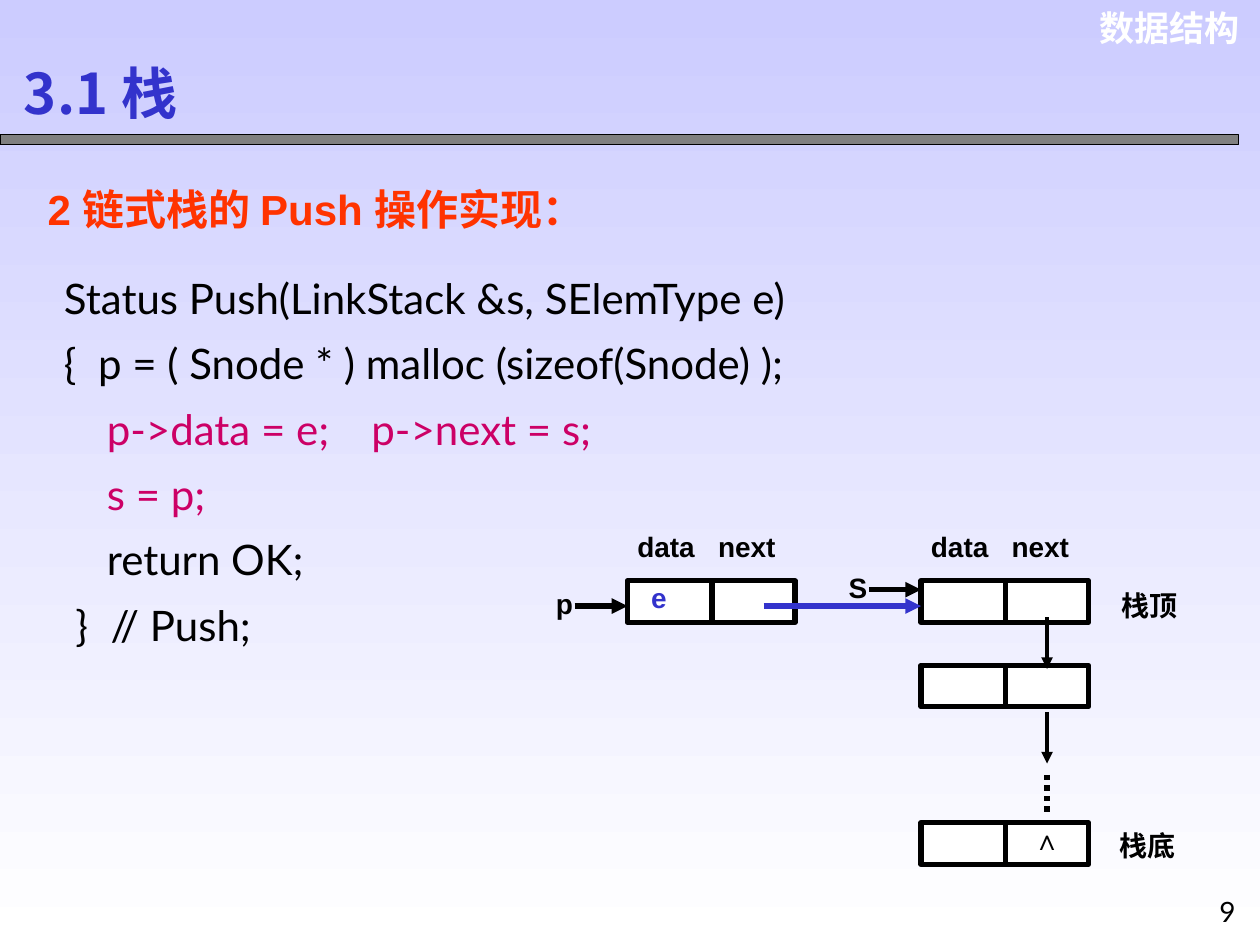
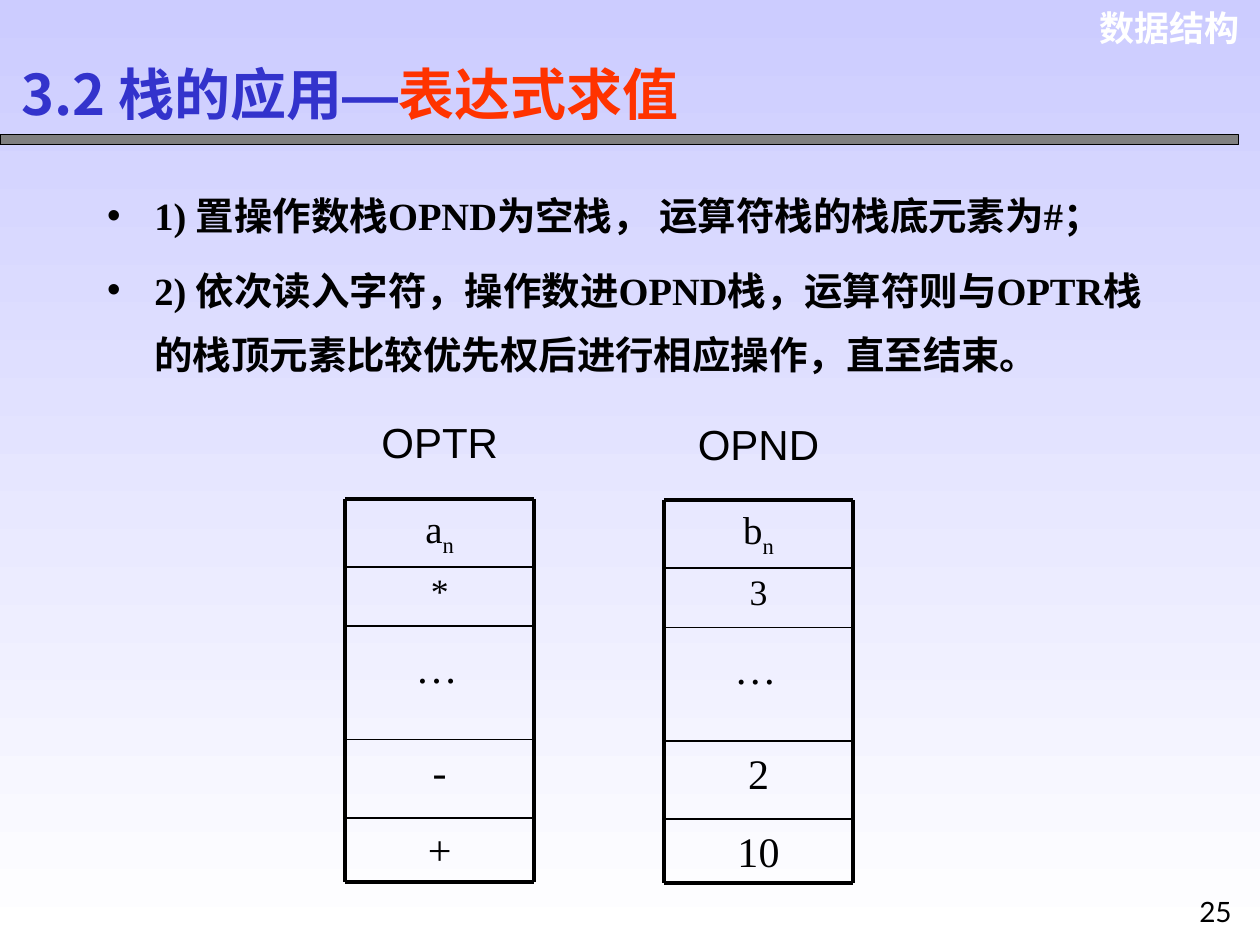
from dataclasses import dataclass

from pptx import Presentation, util as u
from pptx.dml.color import RGBColor
from pptx.enum import dml, shapes, text
from pptx.oxml.ns import qn
from lxml import etree

LEFT, CENTER, RIGHT = text.PP_ALIGN.LEFT, text.PP_ALIGN.CENTER, text.PP_ALIGN.RIGHT


@dataclass(frozen=True)
class Theme:
    black: str = "000000"
    white: str = "FFFFFF"
    blue: str = "3333CC"
    red: str = "FF3300"
    pink: str = "CC0066"
    band: str = "808080"
    sky: str = "CCCCFF"
    sans: str = "Arial"
    serif: str = "Times New Roman"
    code: str = "Lato"
    cjk: str = "Noto Sans CJK SC"
    title: float = 32
    head: float = 24
    body: float = 22
    header: float = 20
    label: float = 16


T = Theme()


class Deck:
    """Holds the style and the current slide."""

    def __init__(self):
        self.prs = Presentation()
        self.prs.slide_width, self.prs.slide_height = u.Inches(10), u.Inches(7.5)
        fill = self.prs.slide_master.background.fill
        fill.gradient()
        fill.gradient_angle = 270
        for stop, color in zip(fill.gradient_stops, (T.sky, T.white)):
            stop.color.rgb = RGBColor.from_string(color)

    def slide(self, layout, number, number_x, title, title_box):
        """Start a slide with the shared header, band, title and page number."""
        self.s = self.prs.slides.add_slide(self.prs.slide_layouts[layout])
        self.on = self.s.shapes
        self.text(8.57, 0, 1.37, 0.44, "数据结构", size=T.header, color=T.white,
                  bold=True, align=RIGHT, before=12.5)
        self.rect(0, 1.07, 9.83, 0.08, T.band, 0.74)
        self.place(self.s.shapes.title, *title_box)
        tf = self.frame(self.s.shapes.title, text.MSO_ANCHOR.MIDDLE)
        tf.paragraphs[0].alignment = LEFT
        for words, font, color in title:
            self.run(tf.paragraphs[0], words, font, T.title, color, True, ea=font)
        self.text(number_x, 7.05, 0.5, 0.42, number, font=T.code, before=10)

    def place(self, sp, x, y, w, h):
        sp.left, sp.top, sp.width, sp.height = map(u.Inches, (x, y, w, h))

    def frame(self, sp, anchor=text.MSO_ANCHOR.TOP):
        tf = sp.text_frame
        tf.word_wrap = True
        tf.auto_size = text.MSO_AUTO_SIZE.NONE
        tf.vertical_anchor = anchor
        return tf

    def run(self, p, words, font, size, color, bold=False, ea=T.cjk):
        r = p.add_run()
        r.text = words
        r.font.name, r.font.size, r.font.bold = font, u.Pt(size), bold
        r.font.color.rgb = RGBColor.from_string(color)
        etree.SubElement(r.font._element, qn("a:ea"), typeface=ea)
        # schema order: the east Asian font follows the latin one
        r.font._element.find(qn("a:latin")).addnext(r.font._element[-1])
        return r

    def text(self, x, y, w, h, words, font=T.sans, size=T.label, color=T.black,
             bold=False, align=LEFT, before=0, spacing=None, tabs=()):
        """Add a one-paragraph text box and return its paragraph."""
        sp = self.on.add_textbox(*map(u.Inches, (x, y, w, h)))
        p = self.frame(sp).paragraphs[0]
        self.paragraph(p, words, font, size, color, bold, align, before, spacing, tabs)
        return p

    def paragraph(self, p, words, font, size, color, bold=False, align=LEFT,
                  before=0, spacing=None, tabs=()):
        p.alignment, p.space_before, p.line_spacing = align, u.Pt(before), spacing
        if tabs:
            stops = etree.SubElement(p._p.get_or_add_pPr(), qn("a:tabLst"))
            for pos in tabs:
                etree.SubElement(stops, qn("a:tab"), pos=str(u.Inches(pos)), algn="l")
        self.run(p, words, font, size, color, bold)

    def label(self, x, y, w, words, **style):
        return self.text(x, y, w, 0.37, words, bold=True, before=10, **style)

    def code(self, x, y, w, h, lines):
        """Add a code listing of (text, colour, tab stops) lines."""
        tf = self.frame(self.on.add_textbox(*map(u.Inches, (x, y, w, h))))
        for i, (words, color, tabs) in enumerate(lines):
            p = tf.add_paragraph() if i else tf.paragraphs[0]
            self.paragraph(p, words, T.code, T.head, color, spacing=1.3, tabs=tabs)

    def bullets(self, x, y, w, h, items):
        body = self.s.placeholders[1]
        self.place(body, x, y, w, h)
        tf = self.frame(body)
        for i, words in enumerate(items):
            p = tf.add_paragraph() if i else tf.paragraphs[0]
            self.paragraph(p, words, T.serif, T.body, T.black, True,
                           before=5.5, spacing=1.4)

    def rect(self, x, y, w, h, fill, weight):
        sp = self.on.add_shape(shapes.MSO_SHAPE.RECTANGLE, *map(u.Inches, (x, y, w, h)))
        sp.shadow.inherit = False
        sp.fill.solid()
        sp.fill.fore_color.rgb = RGBColor.from_string(fill)
        sp.line.color.rgb = RGBColor.from_string(T.black)
        sp.line.width = u.Pt(weight)

    def line(self, x1, y1, x2, y2, weight=3, color=T.black, arrow=False, dash=None):
        c = self.on.add_connector(shapes.MSO_CONNECTOR.STRAIGHT,
                                  *map(u.Inches, (x1, y1, x2, y2)))
        c.line.color.rgb = RGBColor.from_string(color)
        c.line.width = u.Pt(weight)
        if dash:
            c.line.dash_style = dash
        props = c.element.spPr
        if arrow:
            etree.SubElement(props.find(qn("a:ln")), qn("a:tailEnd"), type="triangle")
        etree.SubElement(props, qn("a:effectLst"))

    def node(self, x, y):
        """Draw a list node: a data cell and a next cell."""
        self.rect(x, y, 1.33, 0.33, T.white, 3)
        self.line(x + 0.67, y, x + 0.67, y + 0.33)

    def stack(self, x, y, name, top, second, fourth, bottom):
        """Draw a named stack; the third cell holds the ellipsis."""
        edges = [0, 0.54, 1.01, 1.91, 2.53, 3.04]
        cells = [(0, top, 22.2, 0.9), (1, second, 20.4, 0.9),
                 (3, fourth, T.head, None), (4, bottom, T.head, None)]
        self.on = self.s.shapes.add_group_shape().shapes
        for row, words, size, spacing in cells:
            p = self.text(x, y + edges[row], 1.5, edges[row + 1] - edges[row], words,
                          font=T.serif, size=size, align=CENTER, before=6,
                          spacing=spacing)
            if row == 0:
                sub = self.run(p, "n", T.serif, size, T.black)
                sub.font._element.set("baseline", "-25000")
        for edge in edges:
            weight = 2.24 if edge in (edges[0], edges[-1]) else 0.99
            self.line(x, y + edge, x + 1.5, y + edge, weight)
        for side in (x, x + 1.5):
            self.line(side, y, side, y + edges[-1], 2.24)
        self.on = self.s.shapes
        self.text(x + 0.46, y + 1.08, 0.95, 0.5, "…", font=T.serif, size=T.head,
                  before=15)
        self.text(x, y - 0.7, 1.5, 0.5, name, size=T.head, align=CENTER)


d = Deck()

# Slide 1: pushing onto a linked stack
d.slide(5, "9", 9.58, [("3.1 栈", T.cjk, T.blue)], (0.09, 0.44, 2.25, 0.58))
d.text(0.28, 1.41, 4.7, 0.5, "2 链式栈的 Push 操作实现：", size=T.head,
       color=T.red, bold=True)
d.code(0.41, 1.99, 6.56, 3.22, [
    ("Status Push(LinkStack &s, SElemType e)", T.black, ()),
    ("{\tp = ( Snode * ) malloc (sizeof(Snode) );", T.black, (0.27,)),
    ("\tp->data = e;\tp->next = s;", T.pink, (0.34, 2.44)),
    ("\ts = p;", T.pink, (0.34,)),
    ("\treturn OK;", T.black, (0.34,)),
    ("\t}\t// Push;", T.black, (0.09, 0.37)),
])

# Nodes: the new one on the left, the stack on the right
NEW_X, STACK_X, TOP_Y = 4.98, 7.31, 4.61
d.node(NEW_X, TOP_Y)
for y in (TOP_Y, 5.28, 6.53):
    d.node(STACK_X, y)
for x in (NEW_X, STACK_X):
    d.label(x - 0.02, 4.15, 1.42, "data\tnext", tabs=(0.64,))

# Labels
for x, y, words, color in [(4.23, 4.61, "p", T.black), (6.56, 4.48, "S", T.black),
                           (4.98, 4.56, "e", T.blue), (8.06, 6.48, "∧", T.black)]:
    d.label(x, y, 0.5, words, color=color, align=CENTER)
d.label(8.8, 4.62, 0.92, "栈顶")
d.label(8.79, 6.53, 0.92, "栈底")

# Pointers
d.line(4.56, 4.81, NEW_X, 4.81, arrow=True)
d.line(6.9, 4.68, STACK_X, 4.68, arrow=True)
d.line(6.06, 4.81, STACK_X, 4.81, color=T.blue, arrow=True)
for y in (4.9, 5.65):
    d.line(8.31, y, 8.31, y + 0.41, 2.24, arrow=True)
d.line(8.31, 6.15, 8.31, 6.48, dash=dml.MSO_LINE.ROUND_DOT)

# Slide 2: evaluating expressions with two stacks
d.slide(1, "25", 9.42, [("3.2 栈的应用", T.cjk, T.blue), ("—", T.sans, T.blue),
                        ("表达式求值", T.cjk, T.red)], (0.07, 0.42, 6.89, 0.64))
d.bullets(0.75, 1.33, 8.5, 5.33, [
    "1) 置操作数栈OPND为空栈， 运算符栈的栈底元素为#；",
    "2) 依次读入字符，操作数进OPND栈，运算符则与OPTR栈的栈顶元素比较优先权后"
    "进行相应操作，直至结束。",
])
d.stack(2.74, 3.96, "OPTR", "a", "*", "-", "+")
d.stack(5.27, 3.97, "OPND", "b", "3", "2", "10")

d.prs.save("out.pptx")
